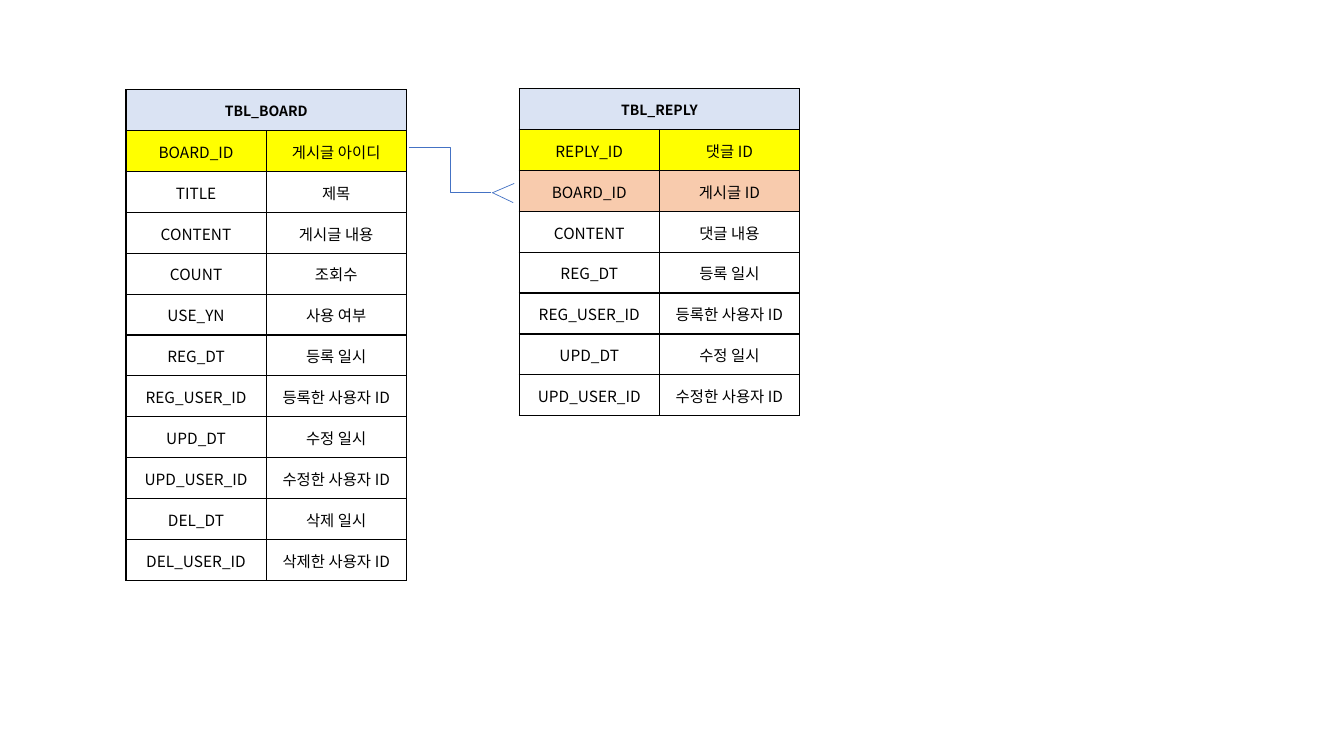
from dataclasses import dataclass

from lxml import etree
from pptx import Presentation
from pptx.dml.color import RGBColor
from pptx.enum.shapes import MSO_CONNECTOR as Connector
from pptx.enum.text import MSO_ANCHOR, PP_ALIGN
from pptx.oxml import parse_xml
from pptx.oxml.ns import nsdecls, qn
from pptx.slide import Slide
from pptx.table import _Cell as Cell
from pptx.util import Inches, Pt

FONT = "Noto Sans CJK KR"
BLACK = "000000"
HEADER_BLUE = "DAE3F3"
KEY_YELLOW = "FFFF00"
FOREIGN_KEY_ORANGE = "F8CBAD"
RELATION_BLUE = "4472C4"
COLUMN_WIDTH = 1.39
ROW_HEIGHT = 4.87 / 12


@dataclass(frozen=True)
class Field:
    name: str
    meaning: str
    fill: str | None = None


@dataclass(frozen=True)
class Entity:
    title: str
    left: float
    top: float
    fields: tuple[Field, ...]


@dataclass(frozen=True)
class Link:
    kind: Connector
    start: tuple[float, float]
    end: tuple[float, float]


AUDIT_FIELDS = (
    Field("REG_DT", "등록 일시"),
    Field("REG_USER_ID", "등록한 사용자 ID"),
    Field("UPD_DT", "수정 일시"),
    Field("UPD_USER_ID", "수정한 사용자 ID"),
)

ENTITIES = (
    Entity("TBL_BOARD", 1.25, 0.89, (
        Field("BOARD_ID", "게시글 아이디", KEY_YELLOW),
        Field("TITLE", "제목"),
        Field("CONTENT", "게시글 내용"),
        Field("COUNT", "조회수"),
        Field("USE_YN", "사용 여부"),
        *AUDIT_FIELDS,
        Field("DEL_DT", "삭제 일시"),
        Field("DEL_USER_ID", "삭제한 사용자 ID"),
    )),
    Entity("TBL_REPLY", 5.15, 0.88, (
        Field("REPLY_ID", "댓글 ID", KEY_YELLOW),
        Field("BOARD_ID", "게시글 ID", FOREIGN_KEY_ORANGE),
        Field("CONTENT", "댓글 내용"),
        *AUDIT_FIELDS,
    )),
)

BOARD_TO_REPLIES = (
    Link(Connector.ELBOW, (4.06, 1.46), (4.87, 1.91)),
    Link(Connector.STRAIGHT, (4.89, 1.91), (5.10, 1.82)),
    Link(Connector.STRAIGHT, (4.88, 1.91), (5.09, 2.01)),
)


def color(hex_code: str) -> RGBColor:
    return RGBColor.from_string(hex_code)


def add_borders(cell: Cell) -> None:
    properties = cell._tc.get_or_add_tcPr()
    for position, side in enumerate(("lnL", "lnR", "lnT", "lnB")):
        properties.insert(position, parse_xml(
            f'<a:{side} {nsdecls("a")} w="{Pt(1)}"><a:solidFill>'
            f'<a:srgbClr val="{BLACK}"/></a:solidFill></a:{side}>'))


def style_cell(cell: Cell, fill: str | None) -> None:
    if fill:
        cell.fill.solid()
        cell.fill.fore_color.rgb = color(fill)
    else:
        cell.fill.background()
    cell.vertical_anchor = MSO_ANCHOR.MIDDLE
    add_borders(cell)


def write(cell: Cell, text: str, size: int, bold: bool = False) -> None:
    paragraph = cell.text_frame.paragraphs[0]
    paragraph.alignment = PP_ALIGN.CENTER
    run = paragraph.add_run()
    run.text = text
    run.font.size = Pt(size)
    run.font.bold = bold
    run.font.color.rgb = color(BLACK)
    run.font.name = FONT
    east_asian = etree.SubElement(run.font._element, qn("a:ea"))
    east_asian.set("typeface", FONT)


def add_entity(slide: Slide, entity: Entity) -> None:
    row_count = len(entity.fields) + 1
    table = slide.shapes.add_table(
        row_count, 2, Inches(entity.left), Inches(entity.top),
        Inches(2 * COLUMN_WIDTH), Inches(row_count * ROW_HEIGHT)).table
    table.first_row = False
    table.horz_banding = False
    for column in table.columns:
        column.width = Inches(COLUMN_WIDTH)
    for row in table.rows:
        row.height = Inches(ROW_HEIGHT)

    header = table.cell(0, 0)
    header.merge(table.cell(0, 1))
    for column_index in range(2):
        style_cell(table.cell(0, column_index), HEADER_BLUE)
    write(header, entity.title, 10, bold=True)

    for row_index, field in enumerate(entity.fields, start=1):
        for column_index, text in enumerate((field.name, field.meaning)):
            cell = table.cell(row_index, column_index)
            cell.margin_left = cell.margin_right = cell.margin_top = Inches(0.01)
            cell.margin_bottom = 0
            style_cell(cell, field.fill)
            write(cell, text, 11)


def add_link(slide: Slide, link: Link) -> None:
    connector = slide.shapes.add_connector(
        link.kind, *(Inches(value) for value in link.start + link.end))
    connector.line.color.rgb = color(RELATION_BLUE)
    connector.line.width = Pt(0.5)
    etree.SubElement(connector._element.spPr, qn("a:effectLst"))


def main() -> None:
    presentation = Presentation()
    presentation.slide_width = Inches(13.33)
    presentation.slide_height = Inches(7.5)
    slide = presentation.slides.add_slide(presentation.slide_layouts[6])
    for entity in ENTITIES:
        add_entity(slide, entity)
    for link in BOARD_TO_REPLIES:
        add_link(slide, link)
    presentation.save("out.pptx")


if __name__ == "__main__":
    main()
